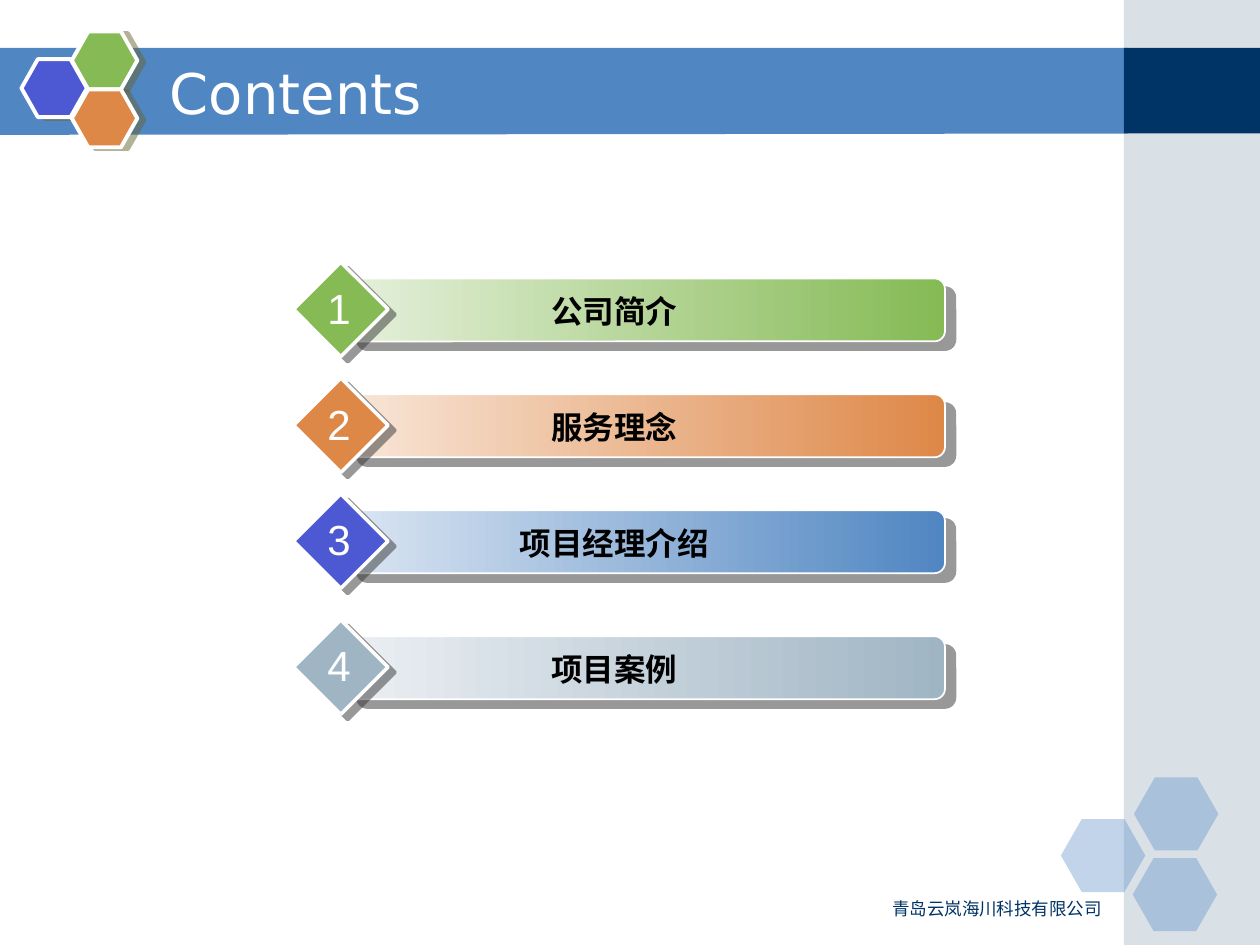
from lxml.etree import SubElement
from pptx import Presentation
from pptx.dml.color import RGBColor
from pptx.enum.shapes import MSO_SHAPE
from pptx.enum.text import MSO_ANCHOR, PP_ALIGN
from pptx.oxml.ns import qn
from pptx.util import Inches, Pt

WHITE, BLUE, NAVY = "FFFFFF", "5086C2", "003366"
GREEN, ORANGE, VIOLET, GREY = "85BA54", "DE8848", "4C59D2", "A0B5C4"

# top, label, diamond colour, bar start colour, bar end colour
ITEMS = [
    (2.08, "公司简介", GREEN, "E5F0DB", GREEN),
    (3.00, "服务理念", ORANGE, "F8E6D8", ORANGE),
    (3.92, "项目经理介绍", VIOLET, "DAE5F2", BLUE),
    (4.92, "项目案例", GREY, "EBEFF3", GREY),
]


def color(value):
    return RGBColor.from_string(value)


def add_alpha(clr, percent):
    SubElement(clr, qn("a:alpha"), val=str(percent * 1000))


def add_shadow(sp, value, dist, angle):
    """Give the shape a sharp, half-transparent outer shadow."""
    effects = sp._element.spPr.find(qn("a:effectLst"))
    shadow = SubElement(effects, qn("a:outerShdw"), dist=str(Pt(dist)),
                        dir=str(angle * 60000), algn="ctr", rotWithShape="0")
    add_alpha(SubElement(shadow, qn("a:srgbClr"), val=value), 50)


def style(sp, fill, line_width=0, alpha=100):
    """Fill with one colour, or with a left-to-right pair of colours."""
    if isinstance(fill, tuple):
        sp.fill.gradient()
        sp.fill.gradient_angle = 0
        for stop, value in zip(sp.fill.gradient_stops, fill):
            stop.color.rgb = color(value)
    else:
        sp.fill.solid()
        sp.fill.fore_color.rgb = color(fill)
    if alpha < 100:
        add_alpha(sp._element.spPr.find(".//" + qn("a:srgbClr")), alpha)
    if line_width:
        sp.line.color.rgb = color(WHITE)
        sp.line.width = Pt(line_width)
    else:
        sp.line.fill.background()
    sp.shadow.inherit = False


def add_shape(slide, kind, box, fill, line_width=0, alpha=100, adj=None):
    sp = slide.shapes.add_shape(kind, *map(Inches, box))
    if adj is not None:
        sp.adjustments[0] = adj
    style(sp, fill, line_width, alpha)
    return sp


def add_text(slide, box, text, size, value, font="DejaVu Sans", bold=False,
             align=PP_ALIGN.LEFT, anchor=MSO_ANCHOR.TOP, wrap=True):
    tf = slide.shapes.add_textbox(*map(Inches, box)).text_frame
    tf.word_wrap = wrap
    tf.vertical_anchor = anchor
    p = tf.paragraphs[0]
    p.alignment = align
    r = p.add_run()
    r.text = text
    for name, setting in {"name": font, "size": Pt(size), "bold": bold}.items():
        setattr(r.font, name, setting)
    r.font.color.rgb = color(value)


def add_header(slide):
    builder = slide.shapes.build_freeform(Inches(-0.01), Inches(0.38))
    points = [(8.95, 0.38), (8.95, 1.06), (-0.01, 1.07)]
    builder.add_line_segments([(Inches(x), Inches(y)) for x, y in points])
    style(builder.convert_to_shape(), BLUE)
    add_shape(slide, MSO_SHAPE.RECTANGLE, (8.92, 0, 1.08, 7.5), GREY, alpha=40)
    add_shape(slide, MSO_SHAPE.RECTANGLE, (8.92, 0.38, 1.08, 0.68), NAVY)


def add_hexagons(slide):
    for x, y in [(8.42, 6.5), (9, 6.17), (8.99, 6.81)]:
        add_shape(slide, MSO_SHAPE.HEXAGON, (x, y, 0.67, 0.58), BLUE,
                  alpha=35, adj=0.286)
    for x, y, fill in [(0.17, 0.47, VIOLET), (0.57, 0.25, GREEN),
                       (0.57, 0.71, ORANGE)]:
        sp = add_shape(slide, MSO_SHAPE.HEXAGON, (x, y, 0.52, 0.46), fill,
                       line_width=2.25, adj=0.283)
        add_shadow(sp, "666633", 4.1, 14)


def add_item(slide, number, top, label, fill, start, end):
    bar = add_shape(slide, MSO_SHAPE.ROUNDED_RECTANGLE,
                    (2.75, top + 0.13, 4.75, 0.5), (start, end),
                    line_width=1, adj=0.167)
    add_shadow(bar, "333333", 7.8, 40)
    diamond = add_shape(slide, MSO_SHAPE.DIAMOND, (2.33, top, 0.75, 0.75),
                        fill, line_width=2)
    add_shadow(diamond, "333333", 5, 37)
    add_text(slide, (3, top + 0.19, 3.75, 0.4), label, 18, "000000",
             font="Arial", bold=True, align=PP_ALIGN.CENTER)
    add_text(slide, (2.5, top + 0.11, 0.38, 0.5), str(number), 24, WHITE,
             font="Arial", align=PP_ALIGN.CENTER, wrap=False)


def main():
    prs = Presentation()
    prs.slide_width, prs.slide_height = Inches(10), Inches(7.5)
    slide = prs.slides.add_slide(prs.slide_layouts[6])
    add_header(slide)
    add_hexagons(slide)
    add_text(slide, (1.25, 0.42, 7.33, 0.62), "Contents", 32, WHITE,
             anchor=MSO_ANCHOR.MIDDLE)
    add_text(slide, (5.67, 7.08, 3.17, 0.26), "青岛云岚海川科技有限公司", 10, NAVY,
             align=PP_ALIGN.RIGHT)
    for number, item in enumerate(ITEMS, 1):
        add_item(slide, number, *item)
    prs.save("out.pptx")


if __name__ == "__main__":
    main()
